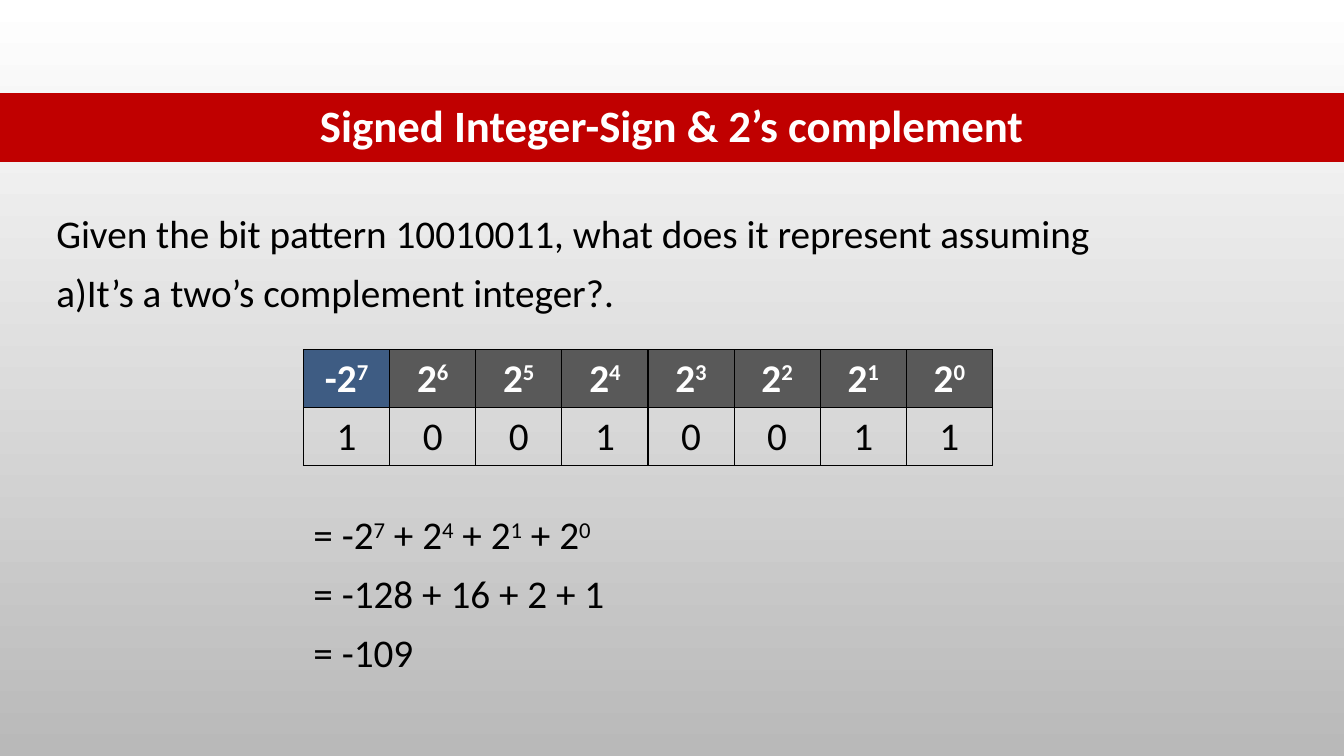
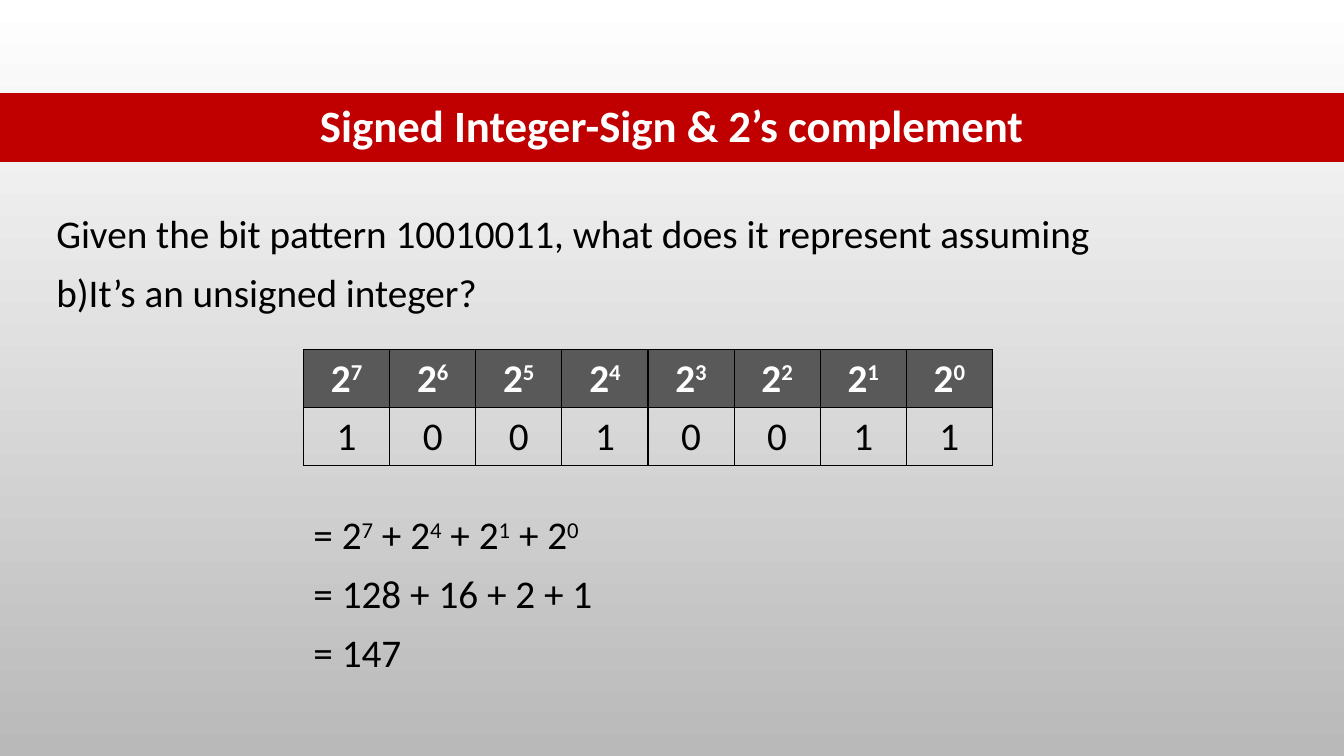
from dataclasses import dataclass

from lxml.etree import SubElement
from pptx import Presentation
from pptx.dml.color import RGBColor
from pptx.enum.text import MSO_ANCHOR, MSO_AUTO_SIZE, PP_ALIGN
from pptx.oxml.ns import qn
from pptx.util import Cm, Pt

# Shared look
FONT = "Calibri"
WHITE, BLACK, RED = "FFFFFF", "000000", "C00000"
GREY, BLUE, SHADE = "595959", "3E5C83", "B9B9B9"
PLAIN = "{2D5ABB26-0587-4C30-8999-92F81FD0307C}"
WIDE, HIGH = 33.87, 19.05
LEFT = 7.65
COL, ROW = 2.17, 1.37

# Shared wording
TITLE = "Signed Integer-Sign & 2’s complement"
INTRO = "Given the bit pattern 10010011, what does it represent assuming"
BITS = "10010011"


@dataclass(frozen=True)
class Style:
    size: int = 28
    color: str = BLACK
    bold: bool = False


@dataclass(frozen=True)
class Case:
    start: int
    ask: str
    sign: str
    top: str
    steps: tuple[str, ...]


BODY = Style()
HEAD = Style(color=WHITE, bold=True)
BAND = Style(32, WHITE, True)

CASES = (
    Case(1, "It’s a two’s complement integer?.", "-", BLUE,
         ("= -2^7 + 2^4 + 2^1 + 2^0", "= -128 + 16 + 2 + 1", "= -109")),
    Case(2, "It’s an unsigned integer?", "", GREY,
         ("= 2^7 + 2^4 + 2^1 + 2^0", "= 128 + 16 + 2 + 1", "= 147")),
)


def rgb(code: str) -> RGBColor:
    return RGBColor.from_string(code)


# Text: the digit after each ^ is raised
def add_run(para, text: str, style: Style, high: bool = False) -> None:
    run = para.add_run()
    run.text = text
    font = run.font
    font.name, font.size, font.bold = FONT, Pt(style.size), style.bold
    font.color.rgb = rgb(style.color)
    if high:
        run._r.get_or_add_rPr().set("baseline", "30000")


def write(para, text: str, style: Style) -> None:
    first, *rest = text.split("^")
    add_run(para, first, style)
    for part in rest:
        add_run(para, part[0], style, True)
        if part[1:]:
            add_run(para, part[1:], style)


def add_text(slide, box: tuple[float, ...], lines: tuple[str, ...]) -> list:
    frame = slide.shapes.add_textbox(*map(Cm, box)).text_frame
    frame.word_wrap = True
    frame.auto_size = MSO_AUTO_SIZE.NONE
    paras = [frame.paragraphs[0]] + [frame.add_paragraph() for _ in lines[1:]]
    for para, line in zip(paras, lines):
        para.line_spacing = 1.25
        write(para, line, BODY)
    return paras


def number(para, start: int) -> None:
    props = para._p.get_or_add_pPr()
    props.set("marL", str(Cm(0.69)))
    props.set("indent", str(-Cm(0.69)))
    SubElement(props, qn("a:buFont")).set("typeface", FONT)
    mark = SubElement(props, qn("a:buAutoNum"))
    mark.set("type", "alphaLcParenR")
    mark.set("startAt", str(start))


# Tables
def add_grid(slide, rows: int, cols: int, box: tuple[float, ...]):
    table = slide.shapes.add_table(rows, cols, *map(Cm, box)).table
    table.first_row = table.horz_banding = False
    table._tbl.tblPr.find(qn("a:tableStyleId")).text = PLAIN
    return table


def fill_cell(cell, text: str, style: Style, fill: str = "") -> None:
    cell.vertical_anchor = MSO_ANCHOR.MIDDLE
    para = cell.text_frame.paragraphs[0]
    para.alignment = PP_ALIGN.CENTER
    write(para, text, style)
    if fill:
        cell.fill.solid()
        cell.fill.fore_color.rgb = rgb(fill)
    else:
        cell.fill.background()


def frame_cell(cell) -> None:
    props = cell._tc.get_or_add_tcPr()
    for spot, side in enumerate(("lnL", "lnR", "lnT", "lnB")):
        line = props.makeelement(qn(f"a:{side}"), {"w": str(Pt(1))})
        props.insert(spot, line)
        paint = SubElement(line, qn("a:solidFill"))
        SubElement(paint, qn("a:srgbClr")).set("val", BLACK)


def add_bits(slide, case: Case) -> None:
    count = len(BITS)
    table = add_grid(slide, 2, count, (LEFT, 8.81, COL * count, ROW * 2))
    for col, bit in enumerate(BITS):
        sign, fill = ("", GREY) if col else (case.sign, case.top)
        fill_cell(table.cell(0, col), f"{sign}2^{count - 1 - col}", HEAD, fill)
        fill_cell(table.cell(1, col), bit, BODY)
    for cell in table.iter_cells():
        frame_cell(cell)


# Slides
def set_back(deck) -> None:
    fill = deck.slide_master.background.fill
    fill.gradient()
    fill.gradient_angle = 270
    for stop, spot, color in zip(fill.gradient_stops, (0, 1), (WHITE, SHADE)):
        stop.position = spot
        stop.color.rgb = rgb(color)


def add_slide(deck, case: Case) -> None:
    slide = deck.slides.add_slide(deck.slide_layouts[6])
    band = add_grid(slide, 1, 1, (0, 2.34, WIDE, 1.75))
    fill_cell(band.cell(0, 0), TITLE, BAND, RED)
    paras = add_text(slide, (1.17, 4.85, 30.38, 3.25), (INTRO, case.ask))
    number(paras[1], case.start)
    add_bits(slide, case)
    add_text(slide, (LEFT, 12.45, 12.75, 6.25), case.steps)


def main() -> None:
    deck = Presentation()
    deck.slide_width, deck.slide_height = Cm(WIDE), Cm(HIGH)
    set_back(deck)
    for case in CASES:
        add_slide(deck, case)
    deck.save("out.pptx")


if __name__ == "__main__":
    main()
